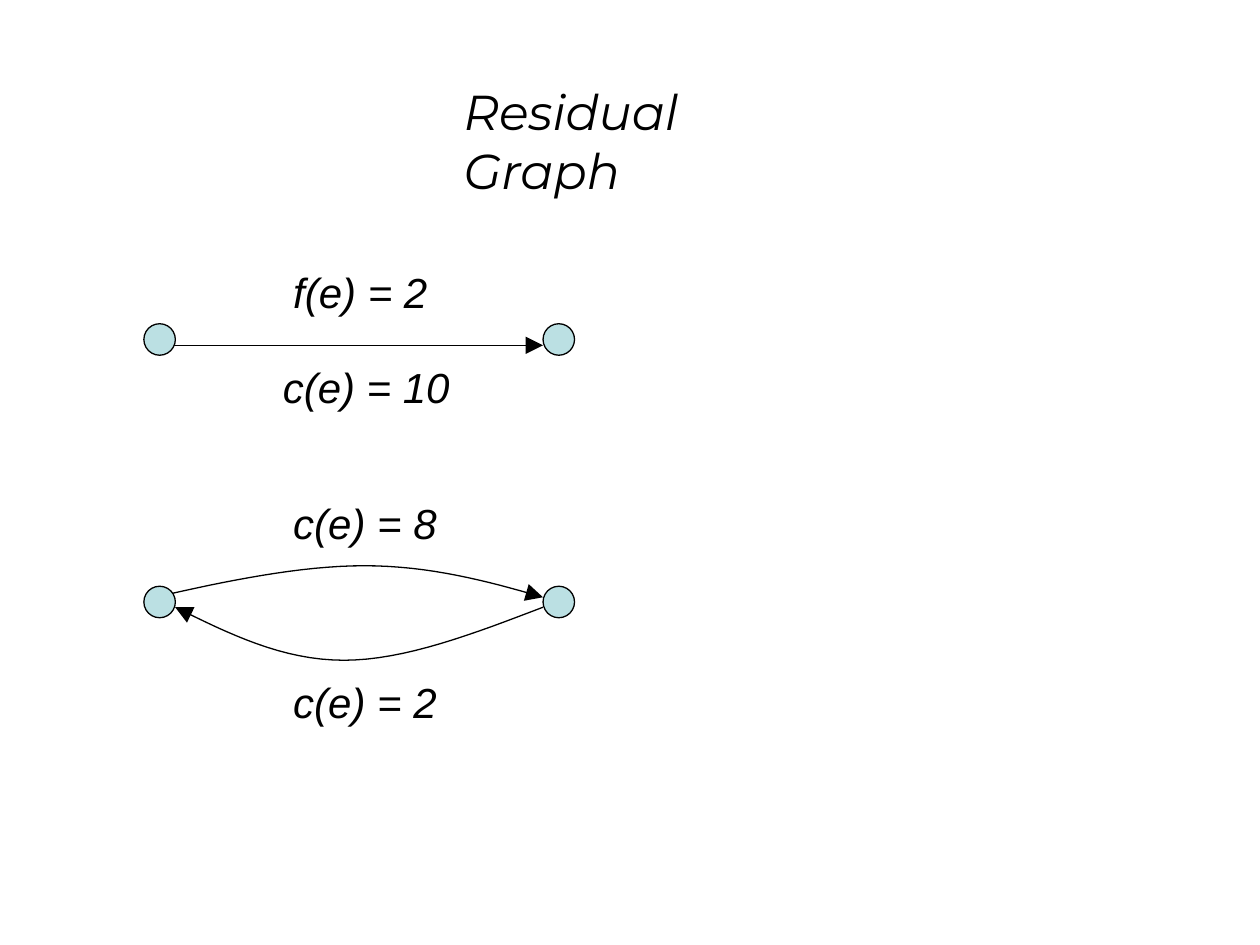
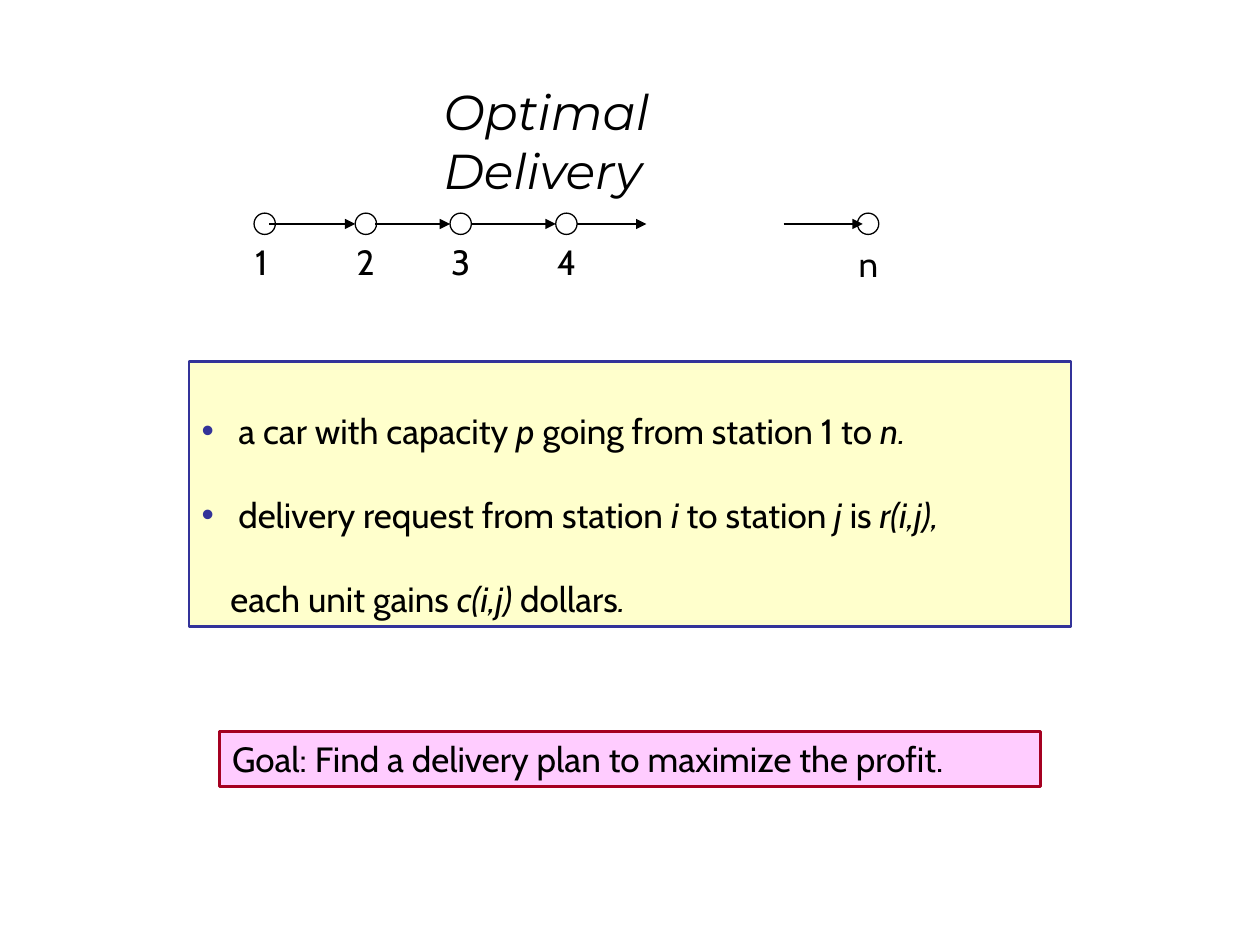
from lxml import etree
from pptx import Presentation
from pptx.dml.color import RGBColor
from pptx.enum.shapes import MSO_CONNECTOR as Link, MSO_SHAPE as Form
from pptx.enum.text import MSO_ANCHOR as Anchor, MSO_AUTO_SIZE as Fit, PP_ALIGN as Align
from pptx.oxml.ns import qn
from pptx.util import Pt

BLACK, AQUA = "000000", "BBE0E3"
CREAM, NAVY = "FFFFCC", "333399"
PINK, RED = "FFCCFF", "A50021"


def rgb(code):
    return RGBColor.from_string(code)


def cubic(a, b, c, d, steps=16):
    """Points along a Bézier segment, without its start."""
    for i in range(1, steps + 1):
        t = i / steps
        u = 1 - t
        yield tuple(u**3 * p + 3 * u * u * t * q + 3 * u * t * t * r + t**3 * s
                    for p, q, r, s in zip(a, b, c, d))


class Deck:
    head, sans, body = "Montserrat", "Arial", "Cabin"

    def __init__(self):
        self.prs = Presentation()
        self.prs.slide_width, self.prs.slide_height = Pt(720), Pt(540)

    def start(self, title, left, width, layout):
        self.slide = self.prs.slides.add_slide(self.prs.slide_layouts[layout])
        self.shapes = self.slide.shapes
        box = self.shapes.title
        self.place(box, left, 43, width, 41)
        self.put(box, title, 28, self.head, True)

    def place(self, shape, *box):
        shape.left, shape.top, shape.width, shape.height = map(Pt, box)

    def put(self, shape, text, size, face, slant=False, wrap=True):
        """Set the only paragraph of a shape."""
        frame = shape.text_frame
        frame.text = text
        frame.word_wrap, frame.auto_size = wrap, Fit.NONE
        frame.vertical_anchor = Anchor.TOP
        self.style(frame.paragraphs[0], size, face, slant)

    def style(self, para, size, face, slant=None):
        para.alignment = Align.LEFT
        font = para.font
        font.size, font.name, font.italic = Pt(size), face, slant
        font.color.rgb = rgb(BLACK)

    def label(self, text, left, top, width, height, size, face, slant=False):
        box = self.shapes.add_textbox(*map(Pt, (left, top, width, height)))
        self.put(box, text, size, face, slant, wrap=False)

    def paint(self, shape, fill, line, width):
        if fill:
            shape.fill.solid()
            shape.fill.fore_color.rgb = rgb(fill)
        else:
            shape.fill.background()
        shape.line.color.rgb = rgb(line)
        shape.line.width = Pt(width)

    def form(self, kind, box, fill, line=BLACK, width=0.75):
        shape = self.shapes.add_shape(kind, *map(Pt, box))
        shape.shadow.inherit = False
        self.paint(shape, fill, line, width)
        return shape

    def node(self, left, top, size, fill=None):
        self.form(Form.OVAL, (left, top, size, size), fill)

    def tip(self, shape, size):
        """Put an arrowhead at the end of a line."""
        line = shape._element.spPr.find(qn("a:ln"))
        etree.SubElement(line, qn("a:tailEnd"), type="triangle", w=size, len=size)

    def arrow(self, x1, x2, y, size="med"):
        line = self.shapes.add_connector(Link.STRAIGHT, *map(Pt, (x1, y, x2, y)))
        line.line.color.rgb = rgb(BLACK)
        line.line.width = Pt(0.75)
        self.tip(line, size)
        etree.SubElement(line._element.spPr, qn("a:effectLst"))

    def curve(self, *pts):
        """Draw an arrow through two joined Bézier segments."""
        start, *rest = [(Pt(x), Pt(y)) for x, y in
                        (pts[0], *cubic(*pts[:4]), *cubic(*pts[3:]))]
        pen = self.shapes.build_freeform(*start)
        pen.add_line_segments(rest, close=False)
        shape = pen.convert_to_shape()
        shape.shadow.inherit = False
        self.paint(shape, None, BLACK, 0.75)
        self.tip(shape, "lg")

    def bullets(self, items, box, fill, line):
        """Fill the body placeholder; each run is (text, italic), None breaks."""
        body = self.slide.placeholders[1]
        self.place(body, *box)
        self.paint(body, fill, line, 1.5)
        frame = body.text_frame
        frame.auto_size, frame.vertical_anchor = Fit.NONE, Anchor.TOP
        for i, runs in enumerate(items):
            para = frame.add_paragraph() if i else frame.paragraphs[0]
            props = para._p.get_or_add_pPr()
            props.set("marL", str(Pt(16.5)))
            props.set("indent", str(-Pt(16.5)))
            tint = etree.SubElement(props, qn("a:buClr"))
            etree.SubElement(tint, qn("a:srgbClr"), val=line)
            etree.SubElement(props, qn("a:buChar"), char="•")
            para.line_spacing, para.space_before = 2.0, Pt(0)
            self.style(para, 20, self.body)
            for part in runs:
                if part is None:
                    para.add_line_break()
                    continue
                run = para.add_run()
                run.text, run.font.italic = part


def residual(deck):
    deck.start("Residual Graph", 257.75, 204.5, 5)
    deck.arrow(94.3, 310.3, 197.3, "lg")
    deck.curve((88.6, 341.3), (129.6, 331.9), (171.4, 323.3), (208.1, 323.3),
               (245.5, 323.3), (277.9, 331.9), (310.3, 341.3))
    deck.curve((310.3, 347), (270.7, 362.2), (231.1, 377.3), (196.6, 377.3),
               (161.3, 377.3), (131, 362.2), (100.1, 347))
    for top in (185, 335):
        for left in (82.2, 310.3):
            deck.node(left, top, 18, AQUA)
    for text, left, top, width in (("f(e) = 2", 160.5, 149, 91),
                                   ("c(e) = 10", 154.5, 203, 110),
                                   ("c(e) = 8", 160.5, 281, 96.5),
                                   ("c(e) = 2", 160.5, 383, 96.5)):
        deck.label(text, left, top, width, 36, 24, deck.sans, True)


def delivery(deck):
    deck.start("Optimal Delivery", 246.25, 227.5, 1)
    for name, left, top in (("1", 145.2, 134), ("2", 203, 134), ("3", 257.2, 134),
                            ("4", 317.6, 134), ("n", 490, 135)):
        deck.node(left, 121.8, 12.2)
        deck.label(name, left - 6.5, top, 26, 32, 20, deck.body)
    for x1, x2 in ((154, 203), (214.5, 257.2), (269.3, 317.6),
                   (329.8, 369.4), (447.8, 493)):
        deck.arrow(x1, x2, 128)
    deck.bullets([
        [(" a car with capacity ", False), ("p ", True),
         ("going from station 1 to ", False), ("n.", True)],
        [(" delivery request from station ", False), ("i ", True),
         ("to station ", False), ("j ", True), ("is ", False), ("r(i,j),", True),
         None, ("each unit gains ", False), ("c(i,j) ", True),
         ("dollars", False), (".", True)],
    ], (108, 206.6, 504, 151.4), CREAM, NAVY)
    goal = deck.form(Form.RECTANGLE, (125.5, 418, 469, 31.5), PINK, RED, 1.5)
    deck.put(goal, "Goal: Find a delivery plan to maximize the profit.", 20, deck.body)


def main():
    deck = Deck()
    residual(deck)
    delivery(deck)
    deck.prs.save("out.pptx")


if __name__ == "__main__":
    main()
